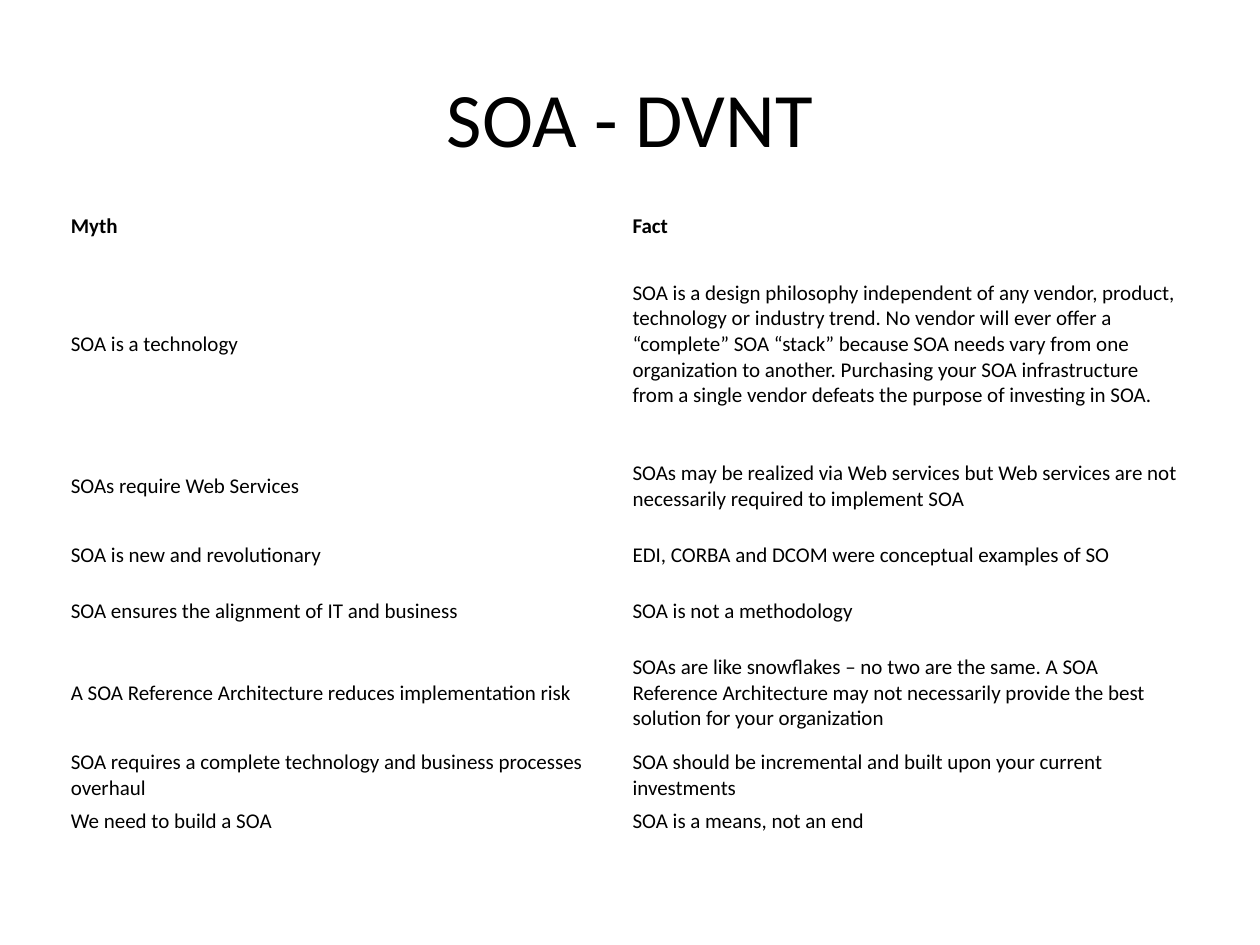
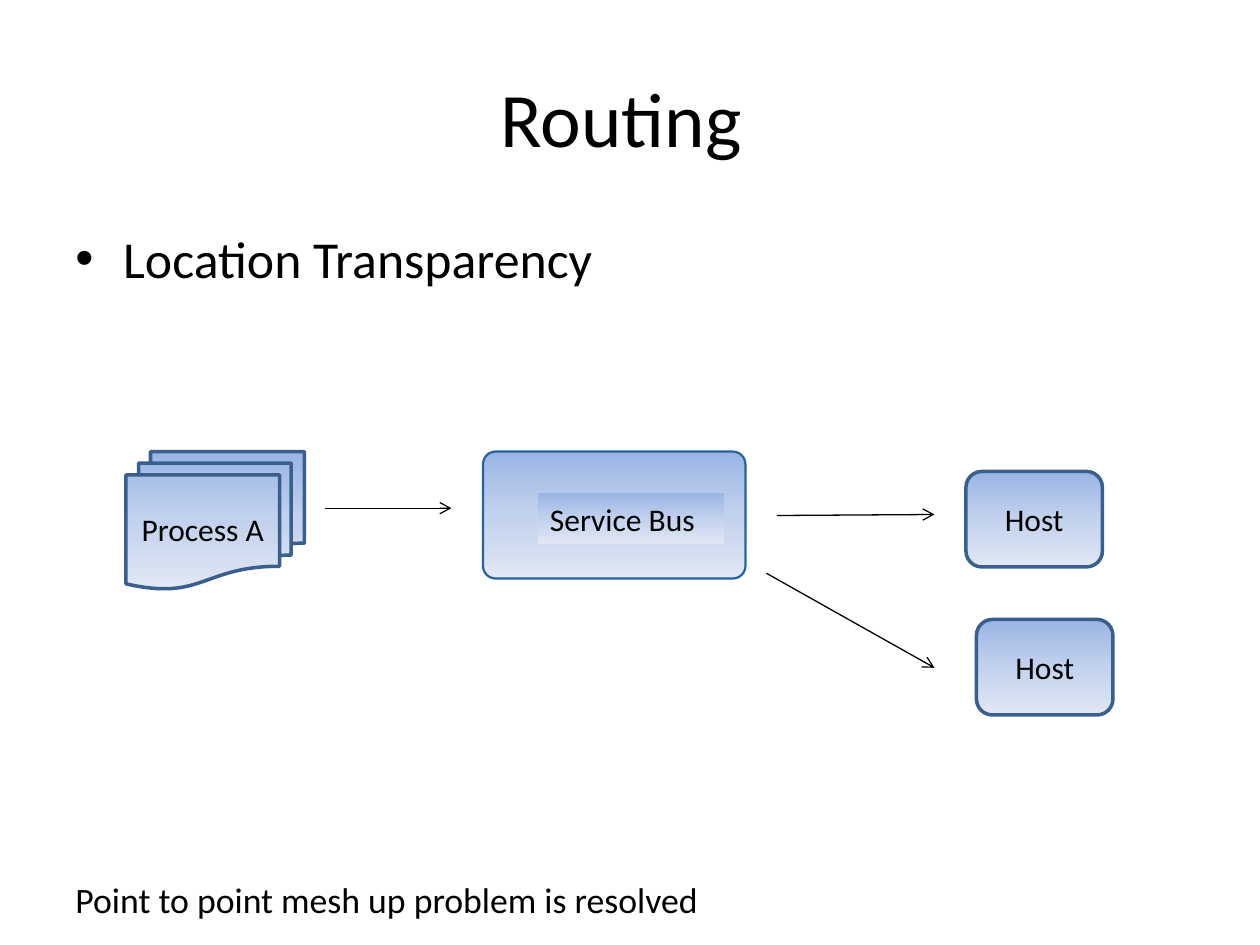
"""Builds two slides on service architecture: a table of myths and facts, and a routing diagram."""
from copy import deepcopy
from pptx import Presentation
from pptx.dml.color import RGBColor
from pptx.enum.shapes import MSO_CONNECTOR as Link, MSO_SHAPE as Form
from pptx.enum.text import MSO_ANCHOR as Anchor, PP_ALIGN as Align
from pptx.oxml import parse_xml
from pptx.oxml.ns import nsdecls, qn
from pptx.util import Inches, Pt

FONT = "Calibri"
BLACK, EDGE, RIM = "000000", "3A5F8C", "2861A0"
SHADE = ["9AB5E4", "C2D1ED", "E1E8F5"]

deck = Presentation()
deck.slide_width, deck.slide_height = Inches(10), Inches(7.5)
UNIT = deck.slide_width / 120


def grid(*nums):
    return [round(num * UNIT) for num in nums]


def write(frame, text, size, align=Align.LEFT, anchor=Anchor.TOP, bold=False):
    frame.word_wrap = True
    frame.vertical_anchor = anchor
    para = frame.paragraphs[0]
    para.alignment = align
    run = para.add_run()
    run.text = text
    run.font.name, run.font.size, run.font.bold = FONT, Pt(size), bold
    run.font.color.rgb = RGBColor.from_string(BLACK)
    return para


pages = []
for title in ["SOA - DVNT", "Routing "]:
    page = deck.slides.add_slide(deck.slide_layouts[6])
    box = page.shapes.add_textbox(*grid(6, 3.6, 108, 15))
    write(box.text_frame, title, 44, Align.CENTER, Anchor.MIDDLE)
    pages.append(page.shapes)
myths, route = pages

rows = [
    (3.1, "Myth", "Fact"),
    (19.3, "SOA is a technology",
     "SOA is a design philosophy independent of any vendor, product, technology or industry "
     "trend. No vendor will ever offer a “complete” SOA “stack” because SOA needs vary from one "
     "organization to another. Purchasing your SOA infrastructure from a single vendor defeats "
     "the purpose of investing in SOA."),
    (7.7, "SOAs require Web Services",
     "SOAs may be realized via Web services but Web services are not necessarily required to "
     "implement SOA"),
    (5.4, "SOA is new and revolutionary", "EDI, CORBA and DCOM were conceptual examples of SO"),
    (5.4, "SOA ensures the alignment of IT and business", "SOA is not a methodology"),
    (10.1, "A SOA Reference Architecture reduces implementation risk",
     "SOAs are like snowflakes – no two are the same. A SOA Reference Architecture may not "
     "necessarily provide the best solution for your organization"),
    (5.4, "SOA requires a complete technology and business processes overhaul",
     "SOA should be incremental and built upon your current investments"),
    (3.1, "We need to build a SOA", "SOA is a means, not an end"),
]
tall = sum(row[0] for row in rows)
table = myths.add_table(len(rows), 2, *grid(6, 20, 107, tall)).table
table.first_row = table.horz_banding = False
for i, (high, *texts) in enumerate(rows):
    table.rows[i].height = grid(high)[0]
    for j, text in enumerate(texts):
        cell = table.cell(i, j)
        cell.fill.background()
        cell.margin_left = cell.margin_right = Pt(4.5)
        cell.margin_top = cell.margin_bottom = Pt(2.25)
        write(cell.text_frame, text, 12, bold=i == 0)
        cell.vertical_anchor = Anchor.MIDDLE

box = route.add_textbox(*grid(6, 21, 108, 8))
para = write(box.text_frame, "Location Transparency", 29.6)
props = para._p.get_or_add_pPr()
props.set("marL", str(Inches(0.38)))
props.set("indent", str(-Inches(0.38)))
for tag in ['buFont {} typeface="Arial"', 'buChar {} char="•"']:
    props.append(parse_xml(f"<a:{tag.format(nsdecls('a'))}/>"))
box = route.add_textbox(*grid(6, 83, 108, 5.5))
write(box.text_frame, "Point to point mesh up problem is resolved", 20.4)

bus = route.add_group_shape().shapes
mid = Align.CENTER, Anchor.MIDDLE
nodes = [
    (route, Form.FLOWCHART_MULTIDOCUMENT, (12, 43, 17, 13.1), EDGE, 2, "Process A", mid),
    (route, Form.ROUNDED_RECTANGLE, (92, 44.9, 13, 9.1), EDGE, 2, "Host", mid),
    (route, Form.ROUNDED_RECTANGLE, (93, 59, 13, 9.1), EDGE, 2, "Host", mid),
    (bus, Form.ROUNDED_RECTANGLE, (46, 43, 25, 12.1), RIM, 1.25, "", mid),
    (bus, Form.RECTANGLE, (51.2, 47, 17.8, 4.8), "", 0, "Service Bus", ()),
]
for home, form, place, edge, width, text, pose in nodes:
    node = home.add_shape(form, *grid(*place))
    node.shadow.inherit = False
    node.fill.gradient()
    node.fill.gradient_angle = 270
    stops = node._element.find(".//" + qn("a:gsLst"))
    stops.insert(1, deepcopy(stops[0]))
    for i, stop in enumerate(node.fill.gradient_stops):
        stop.position = i / 2
        stop.color.rgb = RGBColor.from_string(SHADE[i])
    if edge:
        node.line.color.rgb = RGBColor.from_string(edge)
        node.line.width = Pt(width)
    else:
        node.line.fill.background()
    if text:
        write(node.text_frame, text, 18, *pose)
    if form == Form.ROUNDED_RECTANGLE and home is bus:
        node.adjustments[0] = 0.1

for ends in [(31, 48.4, 43, 48.4), (74, 49.1, 89, 49), (73, 54.6, 89, 63.6)]:
    arrow = route.add_connector(Link.STRAIGHT, *grid(*ends))
    arrow.line.color.rgb = RGBColor.from_string(BLACK)
    arrow.line.width = Pt(0.75)
    arrow.line._get_or_add_ln().append(parse_xml(f'<a:tailEnd {nsdecls("a")} type="arrow"/>'))
    arrow._element.spPr.append(parse_xml(f'<a:effectLst {nsdecls("a")}/>'))

deck.save("out.pptx")
